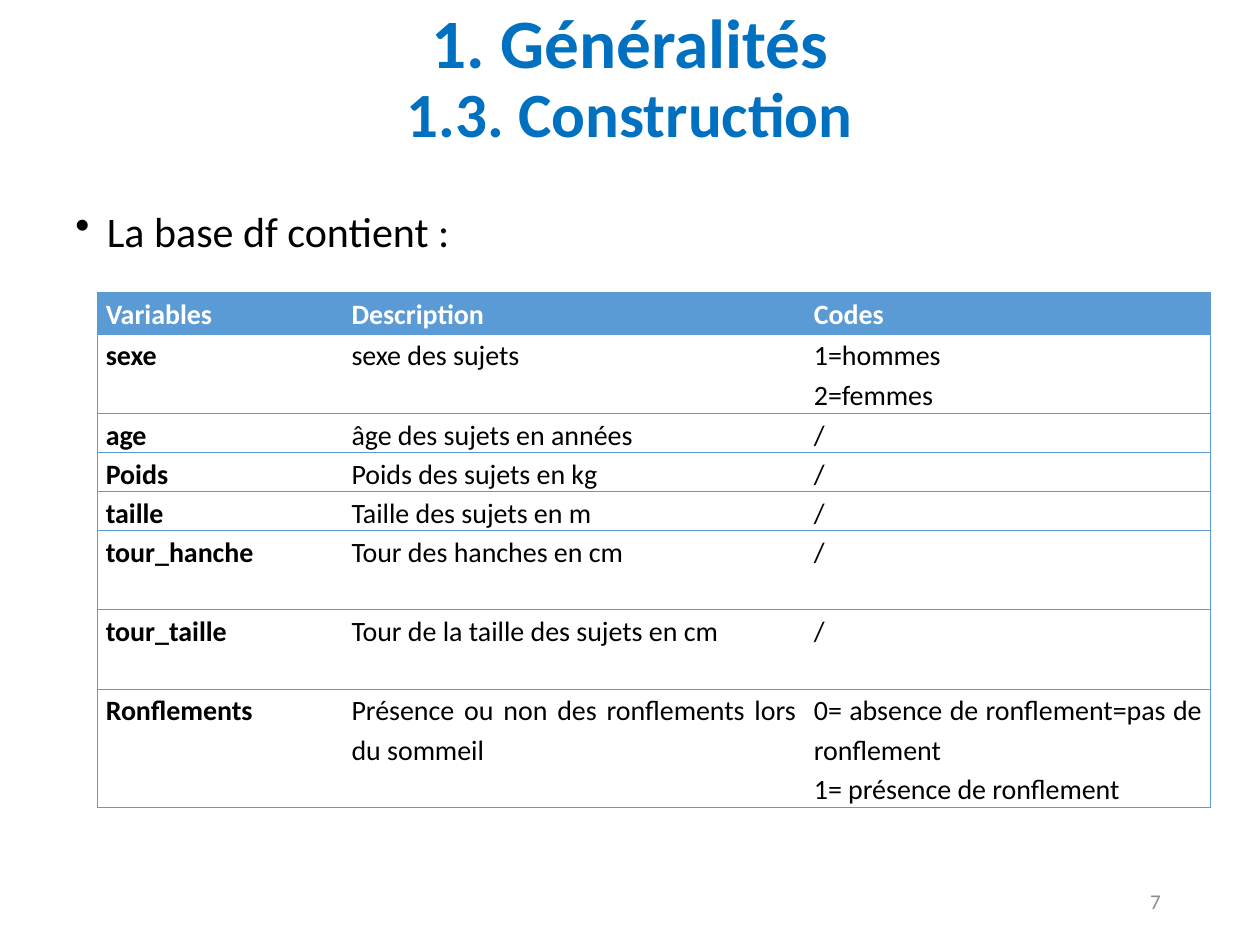
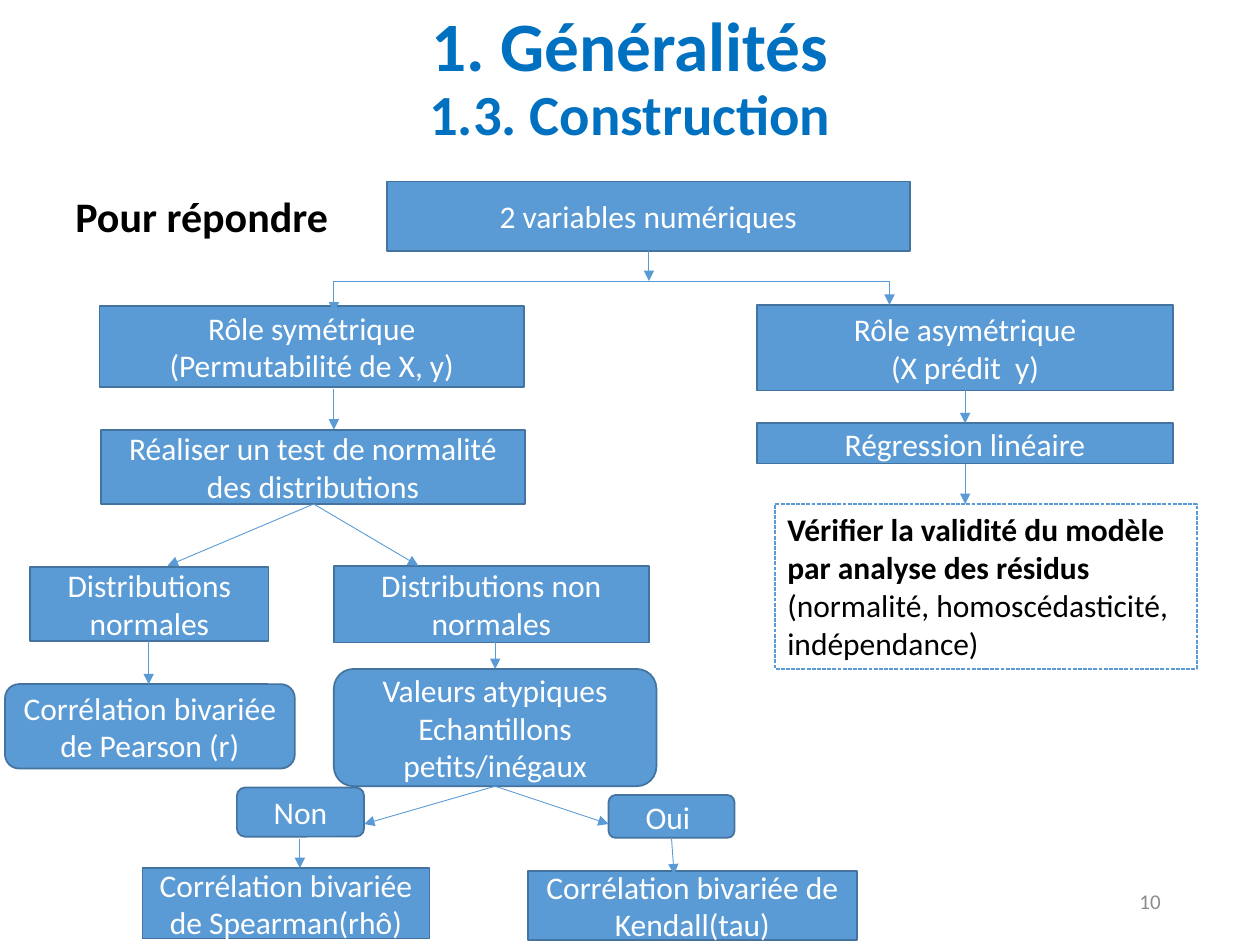
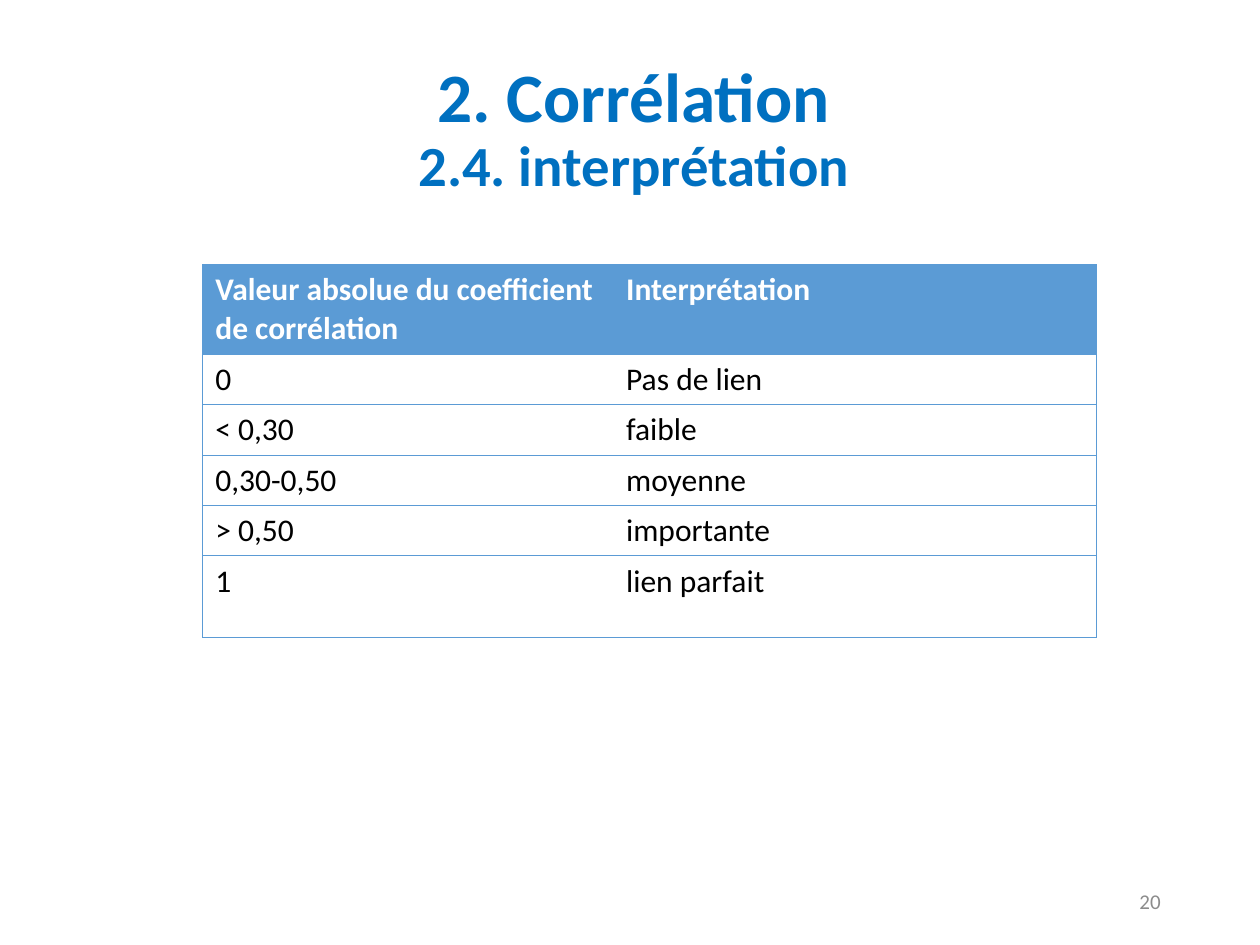
"""Build three slides on correlation: a data table, a decision tree and a reading grid."""
import lxml.etree
import pptx
import pptx.dml.color
import pptx.enum.dml
import pptx.enum.shapes
import pptx.enum.text
import pptx.oxml.ns
import pptx.util

Inches = pptx.util.Inches
Pt = pptx.util.Pt
RGBColor = pptx.dml.color.RGBColor
ALIGN = pptx.enum.text.PP_ALIGN
ANCHOR = pptx.enum.text.MSO_ANCHOR
SHAPE = pptx.enum.shapes.MSO_SHAPE
qn = pptx.oxml.ns.qn
sub = lxml.etree.SubElement

FONT = "Calibri"
TITLE = RGBColor(0x00, 0x70, 0xC0)
BLUE = RGBColor(0x5B, 0x9B, 0xD5)
EDGE = RGBColor(0x43, 0x73, 0x9E)
GREY = RGBColor(0x8C, 0x8C, 0x8C)
WHITE = RGBColor(0xFF, 0xFF, 0xFF)
BLACK = RGBColor(0x00, 0x00, 0x00)

deck = pptx.Presentation()
deck.slide_width = Inches(10)
deck.slide_height = Inches(7.5)


def style(para, size, color, bold=False):
    """Set the font of a paragraph."""
    para.font.name = FONT
    para.font.size = Pt(size)
    para.font.color.rgb = color
    para.font.bold = bold


def grid(page, left, top, cols, rows, data, size):
    """Add a table with a blue header and thin blue rules."""
    table = page.shapes.add_table(
        len(rows), len(cols), Inches(left), Inches(top),
        Inches(sum(cols)), Inches(sum(rows))).table
    table.first_row = table.horz_banding = False
    for col, width in zip(table.columns, cols):
        col.width = Inches(width)
    for r, (line, high) in enumerate(zip(data, rows)):
        table.rows[r].height = Inches(high)
        for c, text in enumerate(line):
            cell = table.cell(r, c)
            cell.text = text
            for para in cell.text_frame.paragraphs:
                style(para, size, BLACK if r else WHITE, r == 0)
            props = cell._tc.get_or_add_tcPr()
            shown = {"L": c == 0, "R": c == len(cols) - 1, "T": True, "B": True}
            for side, show in shown.items():
                rule = sub(props, qn("a:ln" + side), w=str(Pt(0.5)))
                if show:
                    sub(sub(rule, qn("a:solidFill")), qn("a:srgbClr"), val=str(BLUE))
                else:
                    sub(rule, qn("a:noFill"))
            if r:
                cell.fill.background()
            else:
                cell.fill.solid()
                cell.fill.fore_color.rgb = BLUE
    return table


pages = []
for left, top, head, part, size, number in [
    (0.5, 0.01, "1. Généralités", "1.3. Construction", 36, "7"),
    (0.5, 0.01, "1. Généralités", "1.3. Construction", 32.4, "10"),
    (0.53, 0.41, "2. Corrélation", "2.4. interprétation", 32.4, "20"),
]:
    page = deck.slides.add_slide(deck.slide_layouts[5])
    pages.append(page)
    title = page.shapes.title
    title.left, title.top = Inches(left), Inches(top)
    title.width, title.height = Inches(9), Inches(1.25)
    frame = title.text_frame
    frame.auto_size = pptx.enum.text.MSO_AUTO_SIZE.NONE
    frame.vertical_anchor = ANCHOR.MIDDLE
    para = frame.paragraphs[0]
    style(para, 39.6, TITLE, True)
    para.alignment = ALIGN.CENTER
    para.line_spacing = 0.9
    para.add_run().text = head
    para.add_line_break()
    run = para.add_run()
    run.text = part
    run.font.size = Pt(size)

    foot = page.shapes.add_textbox(Inches(7.06), Inches(6.95), Inches(2.25), Inches(0.4))
    foot.text_frame.word_wrap = True
    foot.text_frame.vertical_anchor = ANCHOR.MIDDLE
    para = foot.text_frame.paragraphs[0]
    para.text = number
    para.alignment = ALIGN.RIGHT
    style(para, 12, GREY)

data, tree, scale = pages

for page, top, text, bold in [
    (data, 1.38, "La base df contient :", False),
    (tree, 1.26, "Pour répondre", True),
]:
    body = page.shapes.add_textbox(Inches(0.5), Inches(top), Inches(9), Inches(5.39))
    body.text_frame.word_wrap = True
    para = body.text_frame.paragraphs[0]
    para.text = text
    para.line_spacing = 1.5
    para.space_before = Pt(10)
    style(para, 24, BLACK, bold)
    if page is data:
        props = para._p.get_or_add_pPr()
        props.set("marL", str(Inches(0.25)))
        props.set("indent", str(Inches(-0.25)))
        mark = lxml.etree.Element(qn("a:buChar"), char="•")
        props.find(qn("a:defRPr")).addprevious(mark)

table = grid(
    data, 0.77, 2.32, [1.95, 3.67, 3.22],
    [0.33, 0.63, 0.31, 0.31, 0.31, 0.63, 0.63, 0.94],
    [
        ("Variables", "Description", "Codes"),
        ("sexe", "sexe des sujets", "1=hommes\n2=femmes"),
        ("age", "âge des sujets en années", "/"),
        ("Poids", "Poids des sujets en kg", "/"),
        ("taille", "Taille des sujets en m", "/"),
        ("tour_hanche", "Tour des hanches en cm", "/"),
        ("tour_taille", "Tour de la taille des sujets en cm", "/"),
        ("Ronflements", "Présence ou non des ronflements lors du sommeil",
         "0= absence de ronflement=pas de ronflement\n1= présence de ronflement"),
    ], 16)
for cell in table.iter_cells():
    cell.margin_left = cell.margin_right = Inches(0.07)
    cell.margin_top = cell.margin_bottom = 0
    for para in cell.text_frame.paragraphs:
        para.alignment = ALIGN.JUSTIFY
        para.line_spacing = 1.15
for row in table.rows:
    row.cells[0].text_frame.paragraphs[0].font.bold = True

RECT, ROUND = SHAPE.RECTANGLE, SHAPE.ROUNDED_RECTANGLE
for kind, left, top, width, height, text in [
    (RECT, 3.07, 1.44, 4.15, 0.55, "2 variables numériques"),
    (RECT, 0.79, 2.43, 3.37, 0.64, "Rôle symétrique\n(Permutabilité de X, y)"),
    (RECT, 6.01, 2.42, 3.3, 0.68, "Rôle asymétrique\n(X prédit  y)"),
    (RECT, 0.8, 3.41, 3.37, 0.59, "Réaliser un test de normalité des distributions"),
    (ROUND, 0.04, 5.43, 2.3, 0.67, "Corrélation bivariée de Pearson (r)"),
    (ROUND, 2.65, 5.31, 2.56, 0.93, "Valeurs atypiques\nEchantillons petits/inégaux"),
    (RECT, 6.01, 3.36, 3.3, 0.32, "Régression linéaire"),
    (RECT, 0.24, 4.5, 1.89, 0.59, "Distributions normales"),
    (RECT, 2.65, 4.49, 2.5, 0.61, "Distributions non normales"),
    (ROUND, 1.88, 6.25, 1.01, 0.39, "Non"),
    (ROUND, 4.83, 6.31, 1, 0.34, "Oui "),
    (RECT, 1.13, 6.89, 2.28, 0.56, "Corrélation bivariée de Spearman(rhô)"),
    (RECT, 4.19, 6.91, 2.61, 0.55, "Corrélation bivariée de Kendall(tau)"),
]:
    box = tree.shapes.add_shape(kind, Inches(left), Inches(top), Inches(width), Inches(height))
    box.shadow.inherit = False
    box.fill.solid()
    box.fill.fore_color.rgb = BLUE
    box.line.color.rgb = EDGE
    box.line.width = Pt(1)
    box.text_frame.text = text
    box.text_frame.word_wrap = True
    box.text_frame.vertical_anchor = ANCHOR.MIDDLE
    for para in box.text_frame.paragraphs:
        para.alignment = ALIGN.CENTER
        style(para, 18, WHITE)

check = tree.shapes.add_shape(RECT, Inches(6.15), Inches(4), Inches(3.35), Inches(1.31))
check.shadow.inherit = False
check.fill.background()
check.line.color.rgb = BLUE
check.line.width = Pt(0.75)
check.line.dash_style = pptx.enum.dml.MSO_LINE.SQUARE_DOT
check.text_frame.word_wrap = True
check.text_frame.vertical_anchor = ANCHOR.TOP
para = check.text_frame.paragraphs[0]
para.alignment = ALIGN.LEFT
style(para, 18, BLACK)
for text, bold in [
    ("Vérifier la validité du modèle par analyse des résidus ", True),
    ("(normalité, homoscédasticité, indépendance)", False),
]:
    run = para.add_run()
    run.text = text
    run.font.bold = bold

for x1, y1, x2, y2, arrow in [
    (7.66, 3.09, 7.66, 3.36, True),
    (7.66, 3.68, 7.66, 4, True),
    (2.65, 2.23, 7.06, 2.23, False),
    (7.06, 2.23, 7.06, 2.42, True),
    (2.65, 2.23, 2.65, 2.48, True),
    (5.15, 1.99, 5.15, 2.23, True),
    (2.65, 3.09, 2.65, 3.41, True),
    (2.49, 4, 1.33, 4.49, True),
    (2.49, 4, 3.32, 4.49, True),
    (3.93, 5.09, 3.93, 5.31, True),
    (3.93, 6.24, 2.89, 6.54, True),
    (3.93, 6.24, 4.83, 6.54, True),
    (5.33, 6.66, 5.35, 6.94, True),
    (1.18, 5.09, 1.18, 5.43, True),
    (2.38, 6.66, 2.38, 6.89, True),
]:
    link = tree.shapes.add_connector(
        pptx.enum.shapes.MSO_CONNECTOR.STRAIGHT,
        Inches(x1), Inches(y1), Inches(x2), Inches(y2))
    link.line.color.rgb = BLUE
    link.line.width = Pt(0.5)
    props = link.element.spPr
    if arrow:
        sub(props.find(qn("a:ln")), qn("a:tailEnd"), type="triangle")
    sub(props, qn("a:effectLst"))

grid(
    scale, 1.61, 2.1, [3.26, 3.83], [0.71, 0.4, 0.4, 0.4, 0.4, 0.65],
    [
        ("Valeur absolue du coefficient de corrélation", "Interprétation"),
        ("0", "Pas de lien"),
        ("< 0,30", "faible"),
        ("0,30-0,50", "moyenne"),
        ("> 0,50", "importante"),
        ("1", "lien parfait"),
    ], 18)

deck.save("out.pptx")
